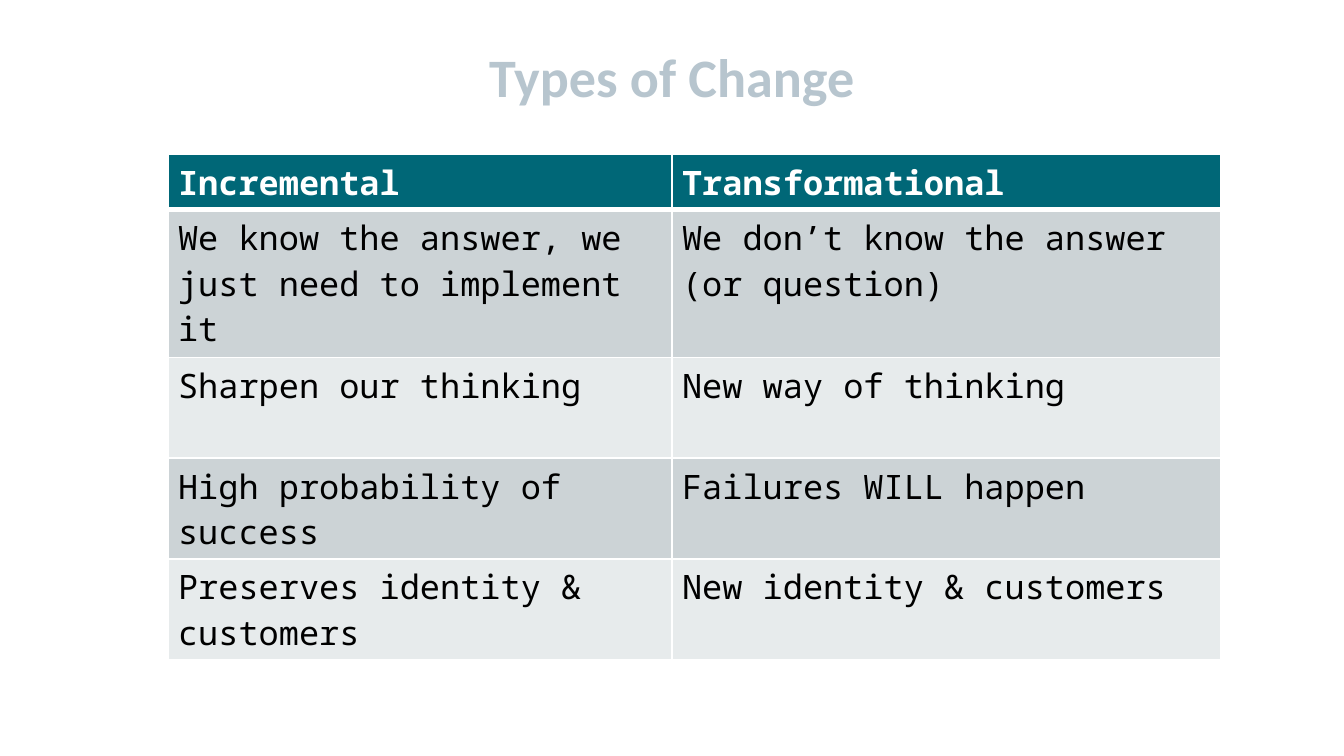
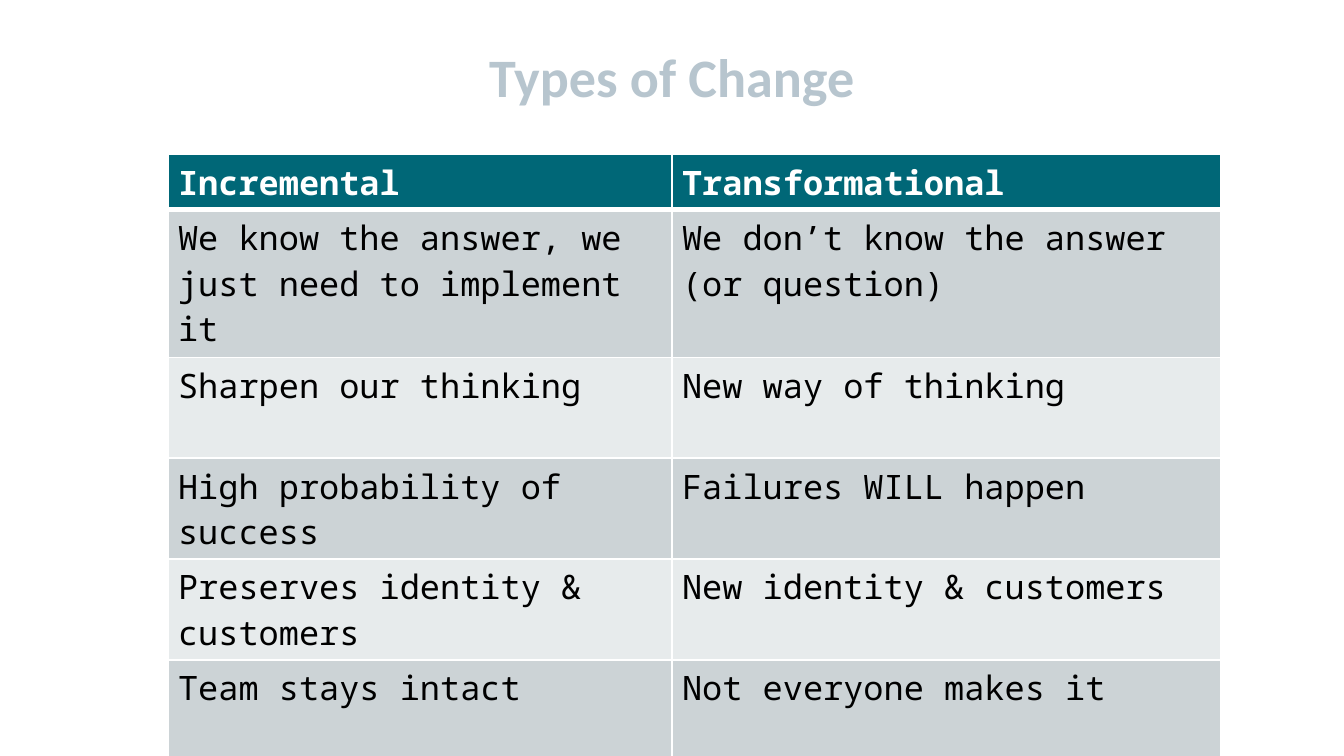
from lxml.etree import SubElement
from pptx import Presentation
from pptx.dml.color import RGBColor
from pptx.enum.text import MSO_ANCHOR, PP_ALIGN
from pptx.oxml.ns import qn
from pptx.util import Inches, Pt

TITLE = "Types of Change"
HEADER = ("Incremental", "Transformational")
CHANGES = [
    ("We know the answer, we just need to implement it",
     "We don’t know the answer (or question)"),
    ("Sharpen our thinking", "New way of thinking"),
    ("High probability of success", "Failures WILL happen"),
    ("Preserves identity & customers", "New identity & customers"),
    ("Team stays intact", "Not everyone makes it"),
]
SLIDES = [CHANGES[:4], CHANGES]

COL_WIDTHS = (3.75, 4.08)
HEADER_HEIGHT, FIRST_HEIGHT, ROW_HEIGHT = 0.41, 1.1, 0.75
HEADER_FILL = "006777"
BANDS = ("CCD3D6", "E7EBEC")
WHITE = "FFFFFF"
MARGINS = {"margin_left": Pt(5.4), "margin_top": Pt(2.7),
           "margin_right": Pt(5.4), "margin_bottom": Pt(2.7)}
TITLE_FONT = {"name": "Calibri", "size": Pt(29), "bold": True}
HEADER_FONT = {"name": "Noto Sans Mono", "size": Pt(18), "bold": True}
BODY_FONT = {**HEADER_FONT, "bold": False}


def rgb(value):
    return RGBColor.from_string(value)


def write(p, text, font, color):
    r = p.add_run()
    r.text = text
    for name, value in font.items():
        setattr(r.font, name, value)
    r.font.color.rgb = rgb(color)


def add_borders(cell, top, bottom):
    tc_pr = cell._tc.get_or_add_tcPr()
    for side, width in (("L", 1), ("R", 1), ("T", top), ("B", bottom)):
        ln = SubElement(tc_pr, qn(f"a:ln{side}"), w=str(Pt(width)))
        fill = SubElement(ln, qn("a:solidFill"))
        SubElement(fill, qn("a:srgbClr"), val=WHITE)


def add_title(s):
    tf = s.shapes.add_textbox(Inches(0.5), Inches(0.25), Inches(9), Inches(0.63)).text_frame
    tf.word_wrap = True
    tf.vertical_anchor = MSO_ANCHOR.MIDDLE
    p = tf.paragraphs[0]
    p.alignment = PP_ALIGN.CENTER
    write(p, TITLE, TITLE_FONT, "B7C5CE")


def add_comparison(s, changes):
    rows = [HEADER] + changes
    heights = [HEADER_HEIGHT, FIRST_HEIGHT] + [ROW_HEIGHT] * (len(changes) - 1)
    table = s.shapes.add_table(len(rows), len(HEADER), Inches(1.25), Inches(1.15),
                               Inches(sum(COL_WIDTHS)), Inches(sum(heights))).table
    for column, width in zip(table.columns, COL_WIDTHS):
        column.width = Inches(width)
    for i, (texts, height) in enumerate(zip(rows, heights)):
        table.rows[i].height = Inches(height)
        if i == 0:
            fill, font, color = HEADER_FILL, HEADER_FONT, WHITE
        else:
            fill, font, color = BANDS[(i - 1) % 2], BODY_FONT, "000000"
        for j, text in enumerate(texts):
            cell = table.cell(i, j)
            add_borders(cell, top=3 if i == 1 else 1, bottom=3 if i == 0 else 1)
            cell.fill.solid()
            cell.fill.fore_color.rgb = rgb(fill)
            for name, value in MARGINS.items():
                setattr(cell, name, value)
            write(cell.text_frame.paragraphs[0], text, font, color)


def main():
    prs = Presentation()
    prs.slide_width = Inches(10)
    prs.slide_height = prs.slide_width * 9 // 16
    for changes in SLIDES:
        s = prs.slides.add_slide(prs.slide_layouts[6])
        add_title(s)
        add_comparison(s, changes)
    prs.save("out.pptx")


if __name__ == "__main__":
    main()
